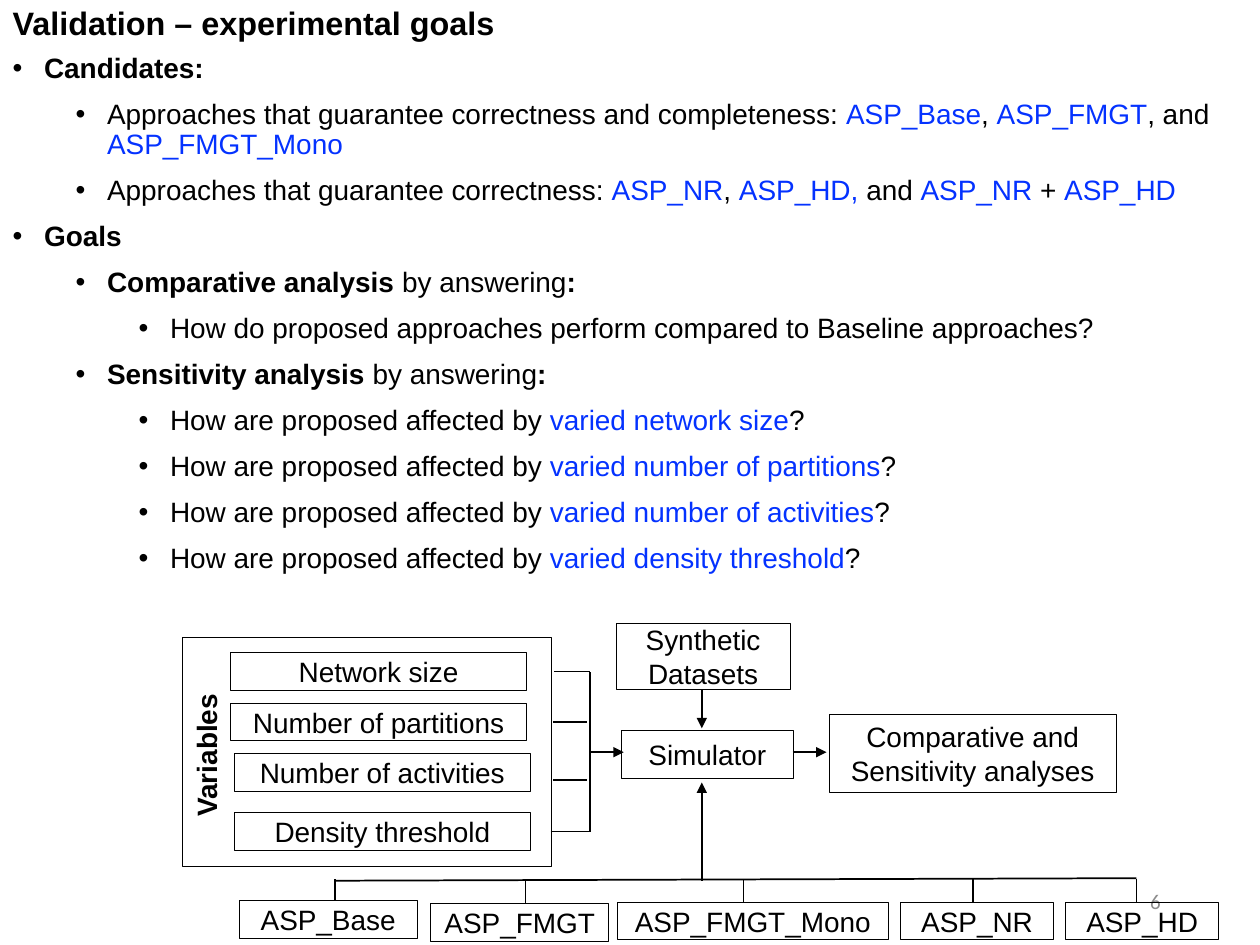
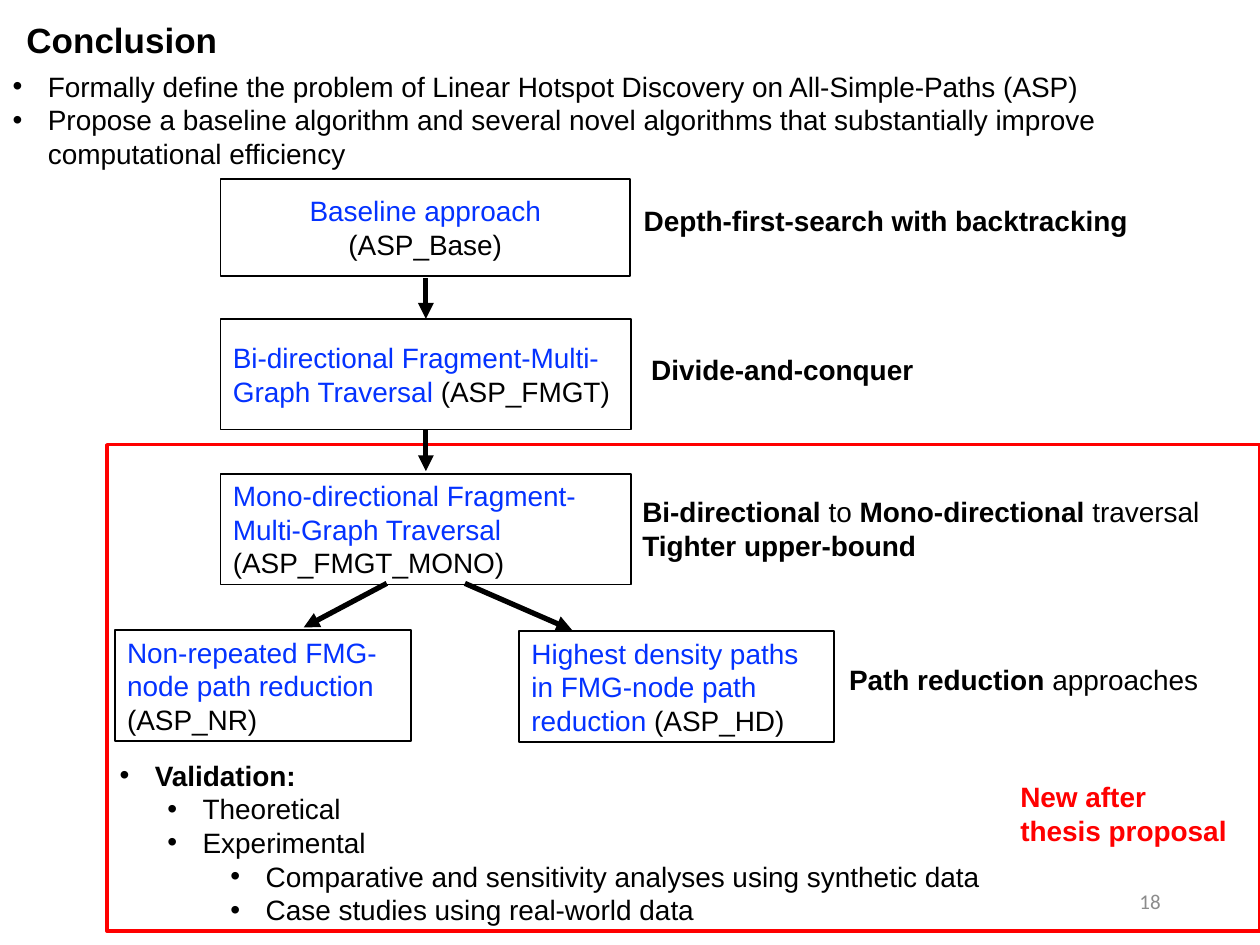
from lxml.etree import SubElement
from pptx import Presentation
from pptx.dml.color import RGBColor
from pptx.enum.shapes import MSO_CONNECTOR, MSO_SHAPE
from pptx.enum.text import MSO_ANCHOR, MSO_AUTO_SIZE, PP_ALIGN
from pptx.oxml.ns import qn
from pptx.util import Inches, Pt

BLACK = RGBColor(0x00, 0x00, 0x00)
BLUE = RGBColor(0x04, 0x32, 0xFF)
RED = RGBColor(0xFF, 0x00, 0x00)
GREY = RGBColor(0x8C, 0x8C, 0x8C)
BODY_SIZE = 16


# Text helpers: "|" separates runs, a leading "~" means blue, "*" means bold
def write(paragraph, text, size=BODY_SIZE, color=BLACK, bold=False, font="Arial",
          align=PP_ALIGN.LEFT):
    paragraph.alignment = align
    paragraph.font.name = font
    paragraph.font.size = Pt(size)
    paragraph.font.color.rgb = color
    paragraph.font.bold = bold
    for part in text.split("|"):
        run = paragraph.add_run()
        run.text = part.lstrip("~*")
        if part.startswith("~"):
            run.font.color.rgb = BLUE
        elif part.startswith("*"):
            run.font.bold = True


def write_lines(frame, lines, **style):
    frame.word_wrap = True
    for number, line in enumerate(lines):
        write(frame.add_paragraph() if number else frame.paragraphs[0], line, **style)


def write_bullets(frame, items, indents, hanging, line_spacing=1.0, gap=0):
    frame.word_wrap = True
    frame.auto_size = MSO_AUTO_SIZE.NONE
    frame.vertical_anchor = MSO_ANCHOR.TOP
    for number, (level, text) in enumerate(items):
        paragraph = frame.add_paragraph() if number else frame.paragraphs[0]
        paragraph.level = level
        paragraph.line_spacing = line_spacing
        paragraph.space_before = Pt(gap if number else 0)
        properties = paragraph._p.get_or_add_pPr()
        properties.set("marL", str(Inches(indents[level])))
        properties.set("indent", str(-Inches(hanging)))
        SubElement(properties, qn("a:buFont"), typeface="Arial")
        SubElement(properties, qn("a:buChar"), char="•")
        write(paragraph, text)


def place(shape, left, top, width, height):
    shape.left, shape.top = Inches(left), Inches(top)
    shape.width, shape.height = Inches(width), Inches(height)


class Region:
    """Draws parts of a slide at offsets from its own top left corner."""

    def __init__(self, slide, left, top, line_width=1):
        self.shapes = slide.shapes
        self.left, self.top = left, top
        self.line_width = line_width

    def at(self, x, y):
        return Inches(self.left + x), Inches(self.top + y)

    def box(self, x, y, width, height, text="", align=PP_ALIGN.CENTER,
            color=BLACK, border=0.5):
        box = self.shapes.add_shape(MSO_SHAPE.RECTANGLE, *self.at(x, y),
                                    Inches(width), Inches(height))
        box.shadow.inherit = False
        box.fill.background()
        box.line.color.rgb = color
        box.line.width = Pt(border)
        if text:
            box.text_frame.vertical_anchor = MSO_ANCHOR.MIDDLE
            write_lines(box.text_frame, [text], align=align)

    def label(self, x, y, width, height, *lines, **style):
        label = self.shapes.add_textbox(*self.at(x, y), Inches(width), Inches(height))
        write_lines(label.text_frame, lines, **style)
        return label.text_frame

    def line(self, x1, y1, x2, y2, arrow=False):
        line = self.shapes.add_connector(MSO_CONNECTOR.STRAIGHT,
                                         *self.at(x1, y1), *self.at(x2, y2))
        line.line.color.rgb = BLACK
        line.line.width = Pt(self.line_width)
        if arrow:
            SubElement(line.line._get_or_add_ln(), qn("a:tailEnd"), type="triangle")
        SubElement(line._element.spPr, qn("a:effectLst"))


# Shared slide frame: title, body list and page number
def start_slide(deck, title, title_box, title_size, body_box, page):
    slide = deck.slides.add_slide(deck.slide_layouts[1])
    heading, body = slide.placeholders
    place(heading, *title_box)
    heading.text_frame.auto_size = MSO_AUTO_SIZE.NONE
    heading.text_frame.vertical_anchor = MSO_ANCHOR.MIDDLE
    write_lines(heading.text_frame, [title], size=title_size, bold=True)
    place(body, *body_box)
    number = Region(slide, 7.06, 6.95).label(0, 0, 2.25, 0.4, page, size=12, color=GREY,
                                             font="Calibri", align=PP_ALIGN.RIGHT)
    number.vertical_anchor = MSO_ANCHOR.MIDDLE
    return slide, body.text_frame


# Panel of variables, joined by a bus that feeds the simulator
def draw_variables(slide, left, top):
    panel = Region(slide, left, top)
    panel.box(0, 0, 2.93, 1.82)
    caption = panel.label(0.06, 0.33, 0.25, 1.21, "Variables", bold=True,
                          align=PP_ALIGN.CENTER)
    caption.vertical_anchor = MSO_ANCHOR.MIDDLE
    caption.margin_left = caption.margin_right = 0
    caption._txBody.bodyPr.set("vert", "vert270")
    bus = 3.23
    for name, x, y, tap_start, tap_end, tap_y in (
            ("Network size", 0.38, 0.12, 2.95, bus, 0.27),
            ("Number of partitions", 0.38, 0.52, 2.94, 3.21, 0.67),
            ("Number of activities", 0.41, 0.92, 2.94, 3.21, 1.13),
            ("Density threshold", 0.41, 1.39, 2.92, bus, 1.54)):
        panel.box(x, y, 2.35, 0.3, name)
        panel.line(tap_start, tap_y, tap_end, tap_y)
    panel.line(bus, 1.54, bus, 0.27)
    panel.line(bus, 0.91, bus + 0.27, 0.91, arrow=True)


# Datasets into the simulator, simulator into the analyses
def draw_simulation(slide, left, top):
    flow = Region(slide, left, top)
    flow.box(0, 0, 1.38, 0.52, "Synthetic Datasets")
    flow.box(0.04, 0.85, 1.37, 0.38, "Simulator")
    flow.box(1.69, 0.72, 2.28, 0.62, "Comparative and Sensitivity analyses")
    flow.line(0.68, 0.53, 0.68, 0.83, arrow=True)
    flow.line(1.4, 1.02, 1.67, 1.02, arrow=True)


# Row of candidate algorithms on a rail that leads up to the simulator
def draw_candidates(slide, left, top):
    row = Region(slide, left, top)
    for name, x, y, width, stem in (
            ("ASP_Base", 0, 0.18, 1.41, 0.76),
            ("ASP_FMGT", 1.52, 0.2, 1.41, 2.27),
            ("ASP_FMGT_Mono", 3, 0.19, 2.15, 4),
            ("ASP_NR", 5.25, 0.19, 1.21, 5.82),
            ("ASP_HD", 6.56, 0.19, 1.21, 7.12)):
        row.box(x, y, width, 0.3, name)
        row.line(stem, y, stem, 0.01)
    row.line(0.76, 0.02, 7.12, 0)
    row.line(3.67, 0.02, 3.67, -0.76, arrow=True)


def build_goals(deck):
    slide, body = start_slide(deck, "Validation – experimental goals", (0, -0.02, 9, 0.4),
                              18.5, (0, 0.38, 10, 3.97), "6")
    factors = ("network size", "number of partitions", "number of activities",
               "density threshold")
    write_bullets(body, [
        (0, "*Candidates:"),
        (1, "Approaches that guarantee correctness and completeness: |~ASP_Base|, |"
            "~ASP_FMGT|, and |~ASP_FMGT_Mono"),
        (1, "Approaches that guarantee correctness: |~ASP_NR|, |~ASP_HD, |and |"
            "~ASP_NR |+ |~ASP_HD"),
        (0, "*Goals"),
        (1, "*Comparative analysis |by answering|*:"),
        (2, "How do proposed approaches perform compared to Baseline approaches?"),
        (1, "*Sensitivity analysis |by answering|*:"),
        *((2, f"How are proposed affected by |~varied {factor}|?") for factor in factors),
    ], indents=(0.25, 0.75, 1.25), hanging=0.25, line_spacing=0.9, gap=9)
    draw_variables(slide, 1.45, 5.06)
    draw_simulation(slide, 4.89, 4.95)
    draw_candidates(slide, 1.9, 6.97)


# Chain of algorithms with the idea behind each step
def draw_algorithms(slide, left, top):
    chain = Region(slide, left, top, line_width=3)
    for text, x, y, width, height, align in (
            ("~Baseline approach |(ASP_Base)", 0.84, 0, 3.25, 0.77, PP_ALIGN.CENTER),
            ("~Bi-directional Fragment-Multi-Graph Traversal |(ASP_FMGT)",
             0.84, 1.11, 3.26, 0.88, PP_ALIGN.LEFT),
            ("~Mono-directional Fragment-Multi-Graph Traversal |(ASP_FMGT_MONO)",
             0.84, 2.34, 3.26, 0.88, PP_ALIGN.LEFT),
            ("~Non-repeated FMG-node path reduction |(ASP_NR)",
             0, 3.58, 2.35, 0.88, PP_ALIGN.LEFT),
            ("~Highest density paths in FMG-node path reduction |(ASP_HD)",
             3.21, 3.59, 2.5, 0.88, PP_ALIGN.LEFT)):
        chain.box(x, y, width, height, text, align, border=1)
    for ends in ((2.47, 0.79, 2.47, 1.11), (2.47, 1.99, 2.47, 2.32),
                 (2.16, 3.21, 1.5, 3.56), (2.78, 3.21, 3.63, 3.58)):
        chain.line(*ends, arrow=True)
    chain.label(4.1, 0.15, 4.45, 0.37, "*Depth-first-search with backtracking")
    chain.label(4.16, 1.33, 2.79, 0.37, "*Divide-and-conquer")
    chain.label(4.09, 2.46, 4.77, 0.64,
                "*Bi-directional |to |*Mono-directional |traversal", "*Tighter upper-bound")
    chain.label(5.73, 3.79, 3.14, 0.37, "*Path reduction |approaches")


# Red frame around the new work, with the validation list
def draw_new_work(slide, left, top):
    frame = Region(slide, left, top)
    frame.box(0, 0, 9.15, 3.86, color=RED, border=2)
    frame.label(7.15, 2.61, 2, 0.64, "New after", "thesis proposal", color=RED, bold=True)
    validation = slide.shapes.add_textbox(*frame.at(0, 2.44), Inches(7.45), Inches(1.42))
    write_bullets(validation.text_frame, [
        (0, "*Validation:"),
        (1, "Theoretical"),
        (1, "Experimental"),
        (2, "Comparative and sensitivity analyses using synthetic data"),
        (2, "Case studies using real-world data"),
    ], indents=(0.28, 0.66, 1.16), hanging=0.28)


def build_conclusion(deck):
    slide, body = start_slide(deck, "Conclusion", (0.11, -0.11, 9, 0.85), 20,
                              (0, 0.5, 9.84, 0.92), "18")
    write_bullets(body, [
        (0, "Formally define the problem of Linear Hotspot Discovery on "
            "All-Simple-Paths (ASP)"),
        (0, "Propose a baseline algorithm and several novel algorithms that "
            "substantially improve computational efficiency"),
    ], indents=(0.28,), hanging=0.28)
    draw_new_work(slide, 0.85, 3.53)
    draw_algorithms(slide, 0.91, 1.42)


def main():
    deck = Presentation()
    deck.slide_width, deck.slide_height = Inches(10), Inches(7.5)
    build_goals(deck)
    build_conclusion(deck)
    deck.save("out.pptx")


if __name__ == "__main__":
    main()
